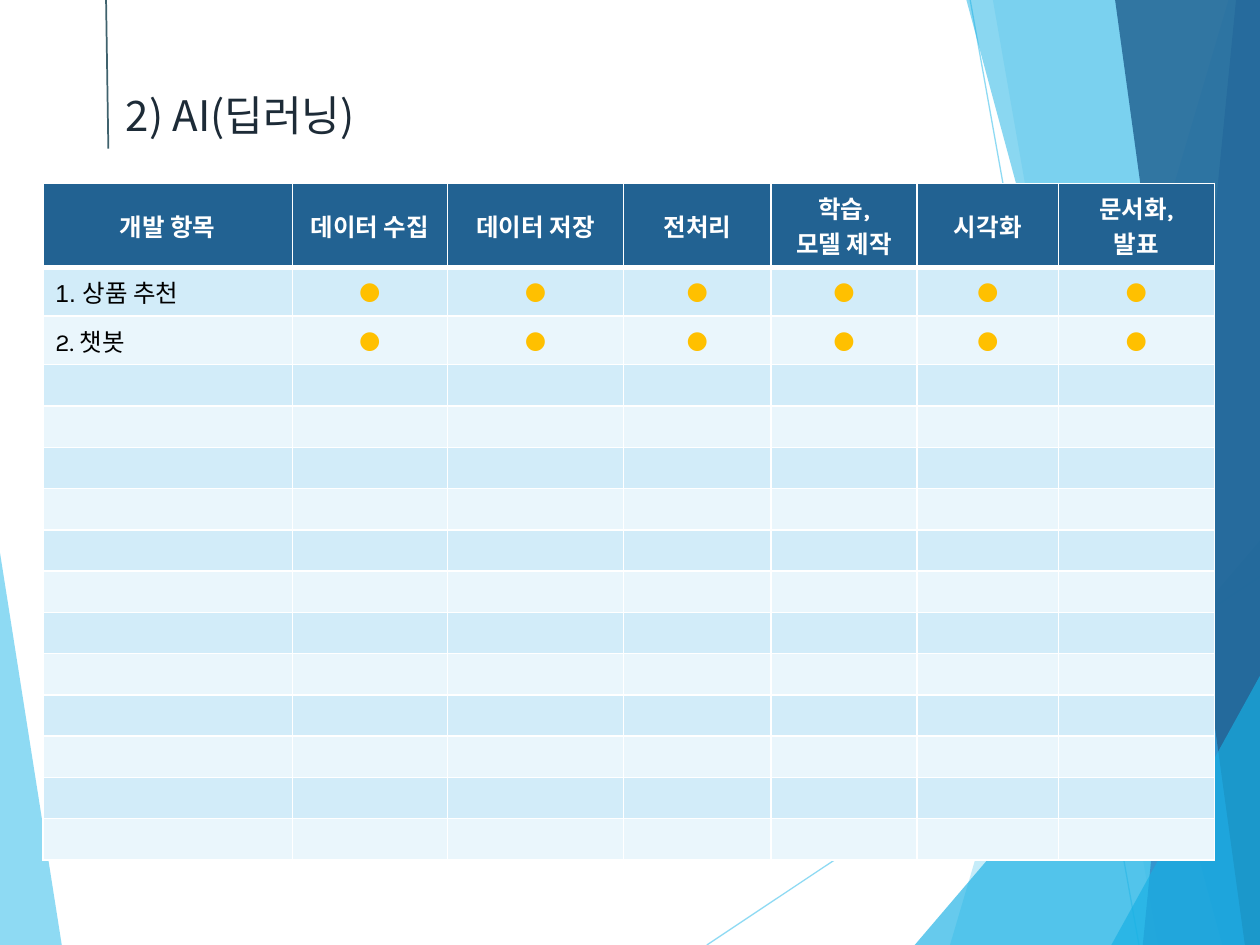
from typing import NamedTuple, Optional

from pptx import Presentation
from pptx.dml.color import RGBColor
from pptx.enum.shapes import MSO_CONNECTOR as Connector
from pptx.enum.text import MSO_ANCHOR as Anchor, PP_ALIGN as Align
from pptx.oxml import parse_xml
from pptx.oxml.ns import nsdecls, qn
from pptx.util import Inches, Pt

WHITE = RGBColor(0xFF, 0xFF, 0xFF)
BLACK = RGBColor(0x00, 0x00, 0x00)
SKY = RGBColor(0x5F, 0xCB, 0xEF)
AZURE = RGBColor(0x17, 0xB0, 0xE4)
BLUE = RGBColor(0x2E, 0x83, 0xC3)
NAVY = RGBColor(0x22, 0x62, 0x92)
SLATE = RGBColor(0x3F, 0x62, 0x6D)
INK = RGBColor(0x1D, 0x2B, 0x37)
AMBER = RGBColor(0xFF, 0xC0, 0x00)
BANDS = (RGBColor(0xD2, 0xEC, 0xF9), RGBColor(0xEA, 0xF6, 0xFC))

SLIDE_WIDTH, SLIDE_HEIGHT = Inches(10), Inches(7.5)
HANGUL_FONT = "Noto Sans CJK KR"


class Facet(NamedTuple):
    """Translucent polygon; corners are percentages of the slide."""
    corners: tuple
    color: RGBColor
    opacity: int


class Rule(NamedTuple):
    """Straight line; ends are percentages of the slide."""
    start: tuple
    end: tuple
    color: RGBColor
    weight: float
    opacity: Optional[int] = None


class Task(NamedTuple):
    label: str
    font: str


BACKDROP = (
    Facet(((0, 58.5), (4.9, 100), (0, 100)), SKY, 70),
    Rule((56.1, 100), (100.1, 60.93), SKY, 0.75, 70),
    Rule((77, 0), (90.4, 100), SKY, 0.75, 70),
    Facet(((97.5, 0), (75.4, 100), (100, 100), (100, 0)), SKY, 36),
    Facet(((78.8, 0), (91.9, 100), (100, 100), (100, 0)), SKY, 20),
    Facet(((72.6, 100), (100, 57.2), (100, 100)), AZURE, 66),
    Facet(((76.7, 0), (97, 100), (100, 100), (100, 0)), AZURE, 50),
    Facet(((98.1, 0), (90.7, 100), (100, 100), (100, 0)), BLUE, 70),
    Facet(((88.5, 0), (98.8, 100), (100, 100), (100, 0)), NAVY, 82),
    Facet(((88.2, 100), (100, 71.5), (100, 100)), AZURE, 66),
)
TITLE_RULE = Rule((8.4, -1.73), (8.6, 15.73), SLATE, 1)

# Table grid, in percent of the slide
COLUMN_WIDTHS = (19.8, 12.3, 14, 11.7, 11.6, 11.2, 12.4)
ROW_HEIGHTS = (8.9, 5.15, 5.15) + (4.37,) * 12
HEADERS = ("개발 항목", "데이터 수집", "데이터 저장", "전처리",
           "학습,\n모델 제작", "시각화", "문서화,\v발표")
TASKS = (Task("1. 상품 추천", "Arial"), Task("2. 챗봇", "Karla"))


def across(percent: float) -> int:
    return round(SLIDE_WIDTH * percent / 100)


def down(percent: float) -> int:
    return round(SLIDE_HEIGHT * percent / 100)


def set_opacity(shape, percent: int) -> None:
    color = next(shape.element.iter(qn("a:srgbClr")))
    color.append(parse_xml(f'<a:alpha {nsdecls("a")} val="{percent * 1000}"/>'))


def draw_facet(slide, facet: Facet) -> None:
    points = [(across(x), down(y)) for x, y in facet.corners]
    builder = slide.shapes.build_freeform(*points[0])
    builder.add_line_segments(points[1:], close=True)
    shape = builder.convert_to_shape()
    shape.shadow.inherit = False
    shape.fill.solid()
    shape.fill.fore_color.rgb = facet.color
    shape.line.fill.background()
    set_opacity(shape, facet.opacity)


def draw_rule(slide, rule: Rule) -> None:
    (x1, y1), (x2, y2) = rule.start, rule.end
    line = slide.shapes.add_connector(
        Connector.STRAIGHT, across(x1), down(y1), across(x2), down(y2))
    line.line.color.rgb = rule.color
    line.line.width = Pt(rule.weight)
    line.element.spPr.append(parse_xml(f'<a:effectLst {nsdecls("a")}/>'))
    if rule.opacity is not None:
        set_opacity(line, rule.opacity)


def write_text(frame, text: str, color: RGBColor, align=Align.LEFT, **font_values) -> None:
    frame.text = text
    for paragraph in frame.paragraphs:
        paragraph.alignment = align
        for run in paragraph.runs:
            run.font.color.rgb = color
            for name, value in font_values.items():
                setattr(run.font, name, value)
            run._r.get_or_add_rPr().append(
                parse_xml(f'<a:ea {nsdecls("a")} typeface="{HANGUL_FONT}"/>'))


def style_cell(cell, color: RGBColor, bottom_weight: float) -> None:
    cell.vertical_anchor = Anchor.MIDDLE
    properties = cell._tc.get_or_add_tcPr()
    for side, weight in zip("LRTB", (1, 1, 1, bottom_weight)):
        properties.append(parse_xml(
            f'<a:ln{side} {nsdecls("a")} w="{Pt(weight)}"><a:solidFill>'
            f'<a:srgbClr val="{WHITE}"/></a:solidFill></a:ln{side}>'))
    cell.fill.solid()
    cell.fill.fore_color.rgb = color


def fill_cell(cell, row: int, column: int) -> None:
    frame = cell.text_frame
    if row == 0:
        write_text(frame, HEADERS[column], WHITE, Align.CENTER,
                   name="Karla", size=Pt(14), bold=True)
    elif row > len(TASKS):
        # Keeps the empty rows low
        frame.paragraphs[0]._p.append(parse_xml(
            f'<a:endParaRPr {nsdecls("a")} sz="1400"><a:latin typeface="Karla"/></a:endParaRPr>'))
    elif column == 0:
        task = TASKS[row - 1]
        write_text(frame, task.label, BLACK, name=task.font, size=Pt(14), bold=False)
    else:
        write_text(frame, "●", AMBER, Align.CENTER,
                   name="Karla", size=Pt(14), bold=False)


def draw_table(slide) -> None:
    table = slide.shapes.add_table(
        len(ROW_HEIGHTS), len(COLUMN_WIDTHS), across(3.4), down(19.4),
        across(sum(COLUMN_WIDTHS)), down(sum(ROW_HEIGHTS))).table
    table.horz_banding = False
    for column, width in zip(table.columns, COLUMN_WIDTHS):
        column.width = across(width)
    for row, height in enumerate(ROW_HEIGHTS):
        table.rows[row].height = down(height)
        for column in range(len(COLUMN_WIDTHS)):
            cell = table.cell(row, column)
            is_header = row == 0
            style_cell(cell, NAVY if is_header else BANDS[(row - 1) % 2],
                       3 if is_header else 1)
            fill_cell(cell, row, column)


def draw_title(slide) -> None:
    frame = slide.shapes.add_textbox(across(9), down(6), across(90), down(11.73)).text_frame
    for name, value in {"word_wrap": True, "vertical_anchor": Anchor.MIDDLE}.items():
        setattr(frame, name, value)
    write_text(frame, "2) AI(딥러닝)", INK, name=HANGUL_FONT, size=Pt(24))
    frame.paragraphs[0].line_spacing = 1.1


def main() -> None:
    presentation = Presentation()
    presentation.slide_width, presentation.slide_height = SLIDE_WIDTH, SLIDE_HEIGHT
    slide = presentation.slides.add_slide(presentation.slide_layouts[6])

    # Faceted backdrop, back to front
    for part in BACKDROP:
        if isinstance(part, Facet):
            draw_facet(slide, part)
        else:
            draw_rule(slide, part)

    # Content
    draw_rule(slide, TITLE_RULE)
    draw_table(slide)
    draw_title(slide)
    presentation.save("out.pptx")


if __name__ == "__main__":
    main()
